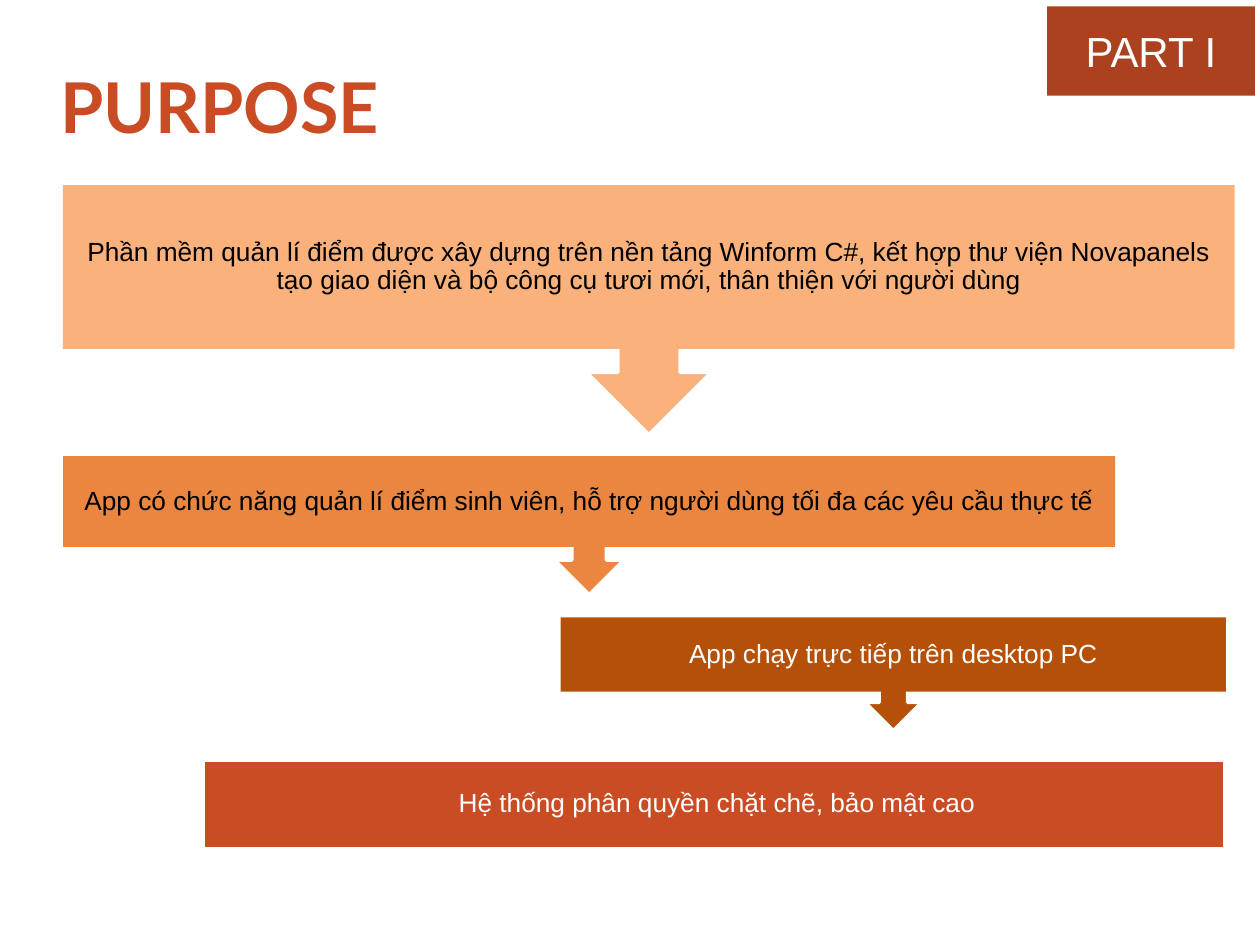
"""Build the PURPOSE slide: a cascade of callouts under a title and a part label."""
import pptx
import pptx.dml.color
import pptx.enum.shapes
import pptx.enum.text
import pptx.util

EMU_PER_PX = 9144
COLORS = {
    "peach": "FAB17B",
    "orange": "EA8640",
    "brown": "B45007",
    "red": "C94C25",
    "dark_red": "AC4120",
    "black": "000000",
    "white": "FFFFFF",
}
SHAPES = pptx.enum.shapes.MSO_SHAPE
ALIGN = pptx.enum.text.PP_ALIGN


def add_block(shapes, kind, box, fill, line=None):
    shape = shapes.add_shape(kind, *(value * EMU_PER_PX for value in box))
    shape.shadow.inherit = False
    shape.fill.solid()
    shape.fill.fore_color.rgb = pptx.dml.color.RGBColor.from_string(COLORS[fill])
    if line:
        shape.line.color.rgb = pptx.dml.color.RGBColor.from_string(COLORS[line])
        shape.line.width = pptx.util.Pt(2)
    else:
        shape.line.fill.background()
    return shape


def write_text(shape, text, size=15, color="black", font="Arial", bold=False,
               align=ALIGN.CENTER, spacing=0.9, margins=(12, 12, 12, 12)):
    frame = shape.text_frame
    frame.word_wrap = True
    frame.vertical_anchor = pptx.enum.text.MSO_ANCHOR.MIDDLE
    frame.margin_left, frame.margin_top, frame.margin_right, frame.margin_bottom = (
        margin * EMU_PER_PX for margin in margins)
    paragraph = frame.paragraphs[0]
    paragraph.alignment = align
    paragraph.line_spacing = spacing
    run = paragraph.add_run()
    run.text = text
    run.font.size = pptx.util.Pt(size)
    run.font.name = font
    run.font.bold = bold
    run.font.color.rgb = pptx.dml.color.RGBColor.from_string(COLORS[color])


presentation = pptx.Presentation()
presentation.slide_width = 1000 * EMU_PER_PX
presentation.slide_height = 750 * EMU_PER_PX
slide = presentation.slides.add_slide(presentation.slide_layouts[6])

title = slide.shapes.add_textbox(*(value * EMU_PER_PX for value in (28, 40, 622, 87)))
write_text(title, "PURPOSE", size=40, color="red", font="Lato", bold=True,
           align=ALIGN.LEFT, spacing=1.0, margins=(20, 5, 0, 5))

callouts = [
    ((50, 147, 930), 198, 130, "peach", "black",
     "Phần mềm quản lí điểm được xây dựng trên nền tảng Winform C#, kết hợp thư viện "
     "Novapanels tạo giao diện và bộ công cụ tươi mới, thân thiện với người dùng"),
    ((50, 362, 835), 110, 72, "orange", "black",
     "App có chức năng quản lí điểm sinh viên, hỗ trợ người dùng tối đa các yêu cầu thực tế"),
    ((445, 490, 528), 90, 59, "brown", "white", "App chạy trực tiếp trên desktop PC"),
]
for place, callout_height, text_height, fill, color, text in callouts:
    group = slide.shapes.add_group_shape()
    callout = add_block(group.shapes, SHAPES.UP_ARROW_CALLOUT,
                        (*place, callout_height), fill, line="white")
    callout.rotation = 180
    label = add_block(group.shapes, SHAPES.RECTANGLE, (*place, text_height), fill)
    write_text(label, text, color=color)

group = slide.shapes.add_group_shape()
add_block(group.shapes, SHAPES.RECTANGLE, (161, 603, 811, 71), "red", line="white")
label = add_block(group.shapes, SHAPES.RECTANGLE, (179, 619, 780, 38), "red")
write_text(label, "Hệ thống phân quyền chặt chẽ, bảo mật cao", color="white")

part = add_block(slide.shapes, SHAPES.RECTANGLE, (831, 5, 165, 71), "dark_red")
write_text(part, "PART I", size=24, color="white", spacing=1.0, margins=(10, 5, 10, 5))

presentation.save("out.pptx")
